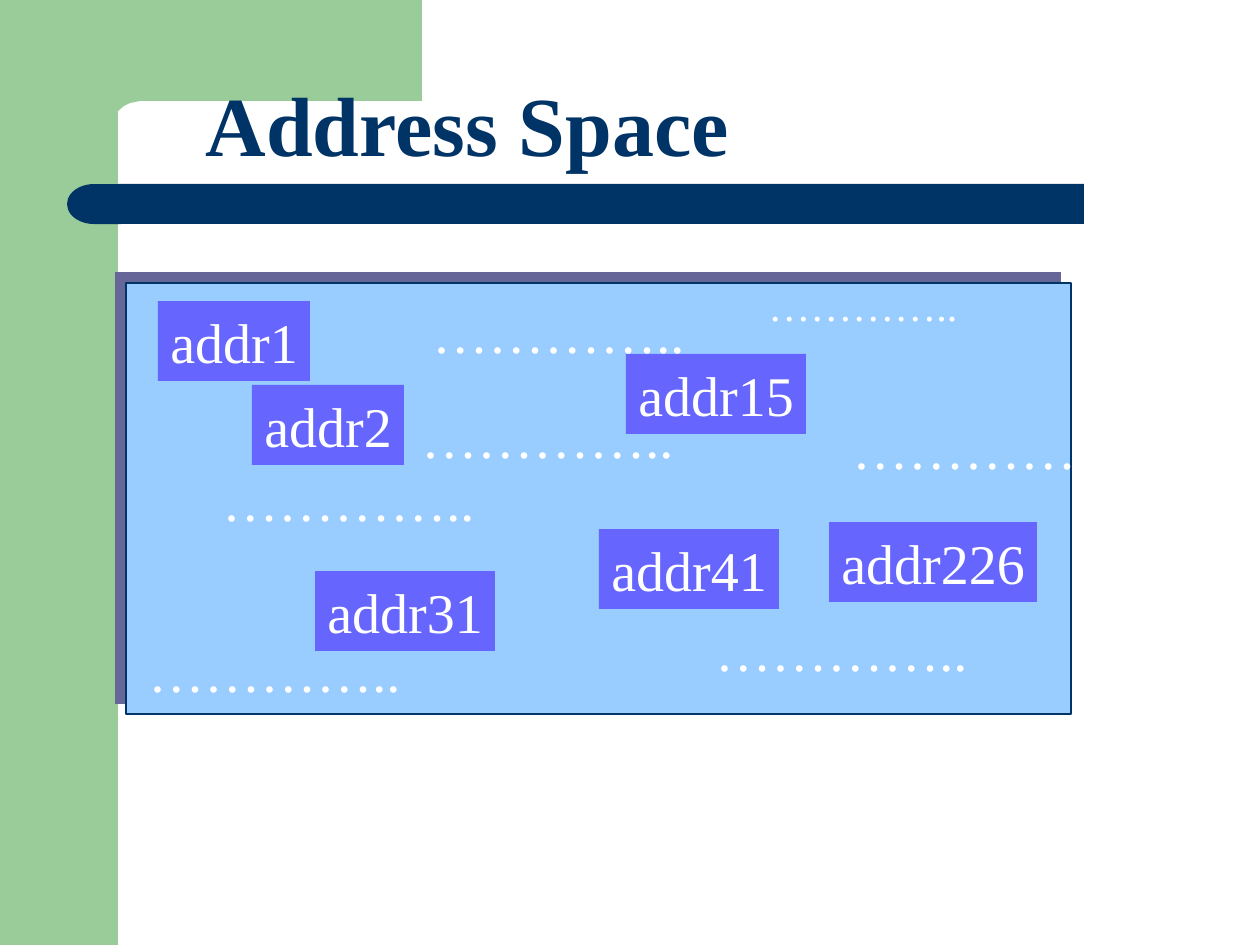
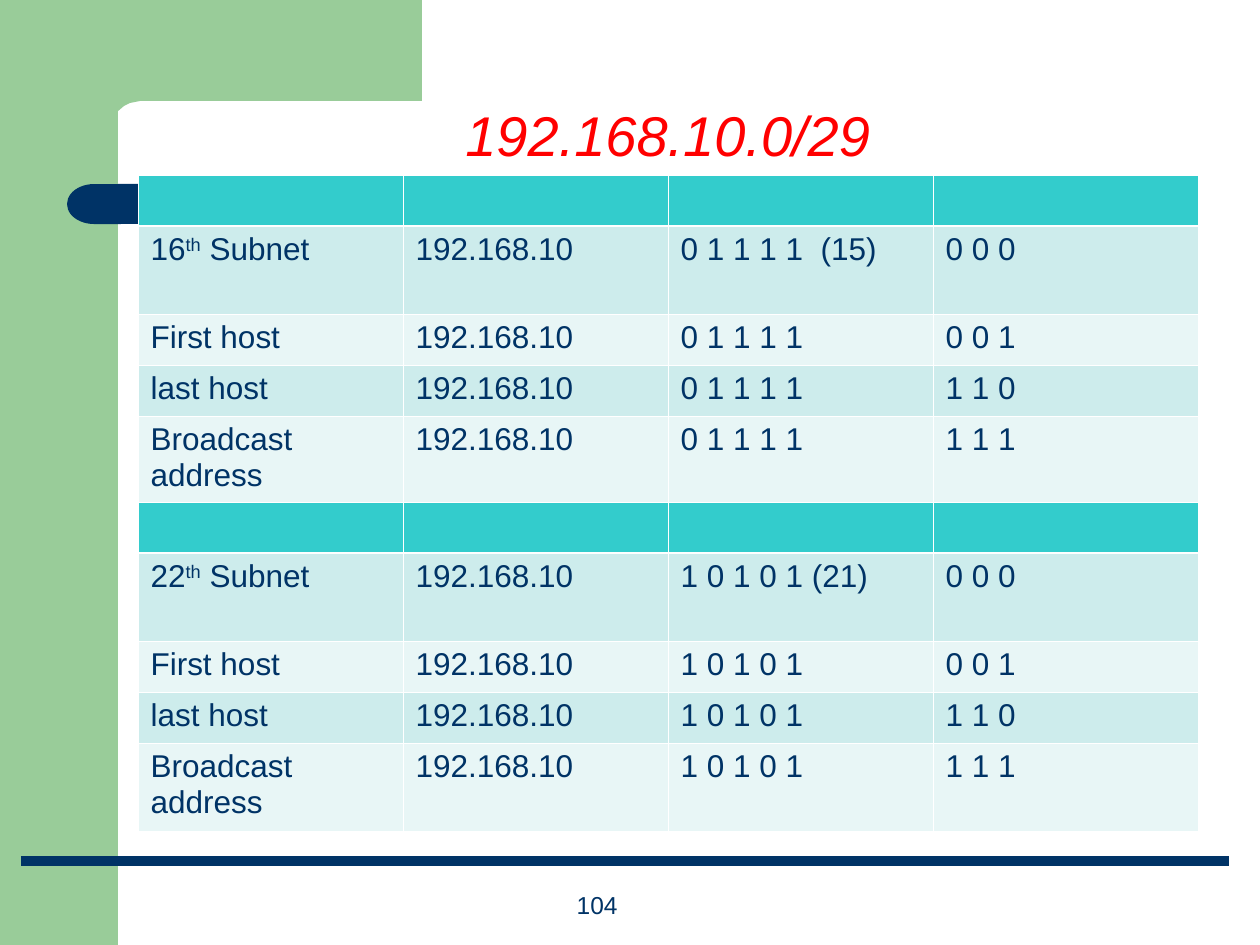
from pptx import Presentation
from pptx.dml.color import RGBColor
from pptx.enum.shapes import MSO_CONNECTOR, MSO_SHAPE
from pptx.enum.text import MSO_ANCHOR, MSO_AUTO_SIZE, PP_ALIGN
from pptx.oxml.ns import qn
from pptx.util import Pt
from lxml.etree import SubElement

PX = 914400 / 126
NAVY, GREEN, WHITE, RED = "003366", "99CC99", "FFFFFF", "FF0000"
SKY, VIOLET, SHADOW = "99CCFF", "6666FF", "666699"
TEAL, TEAL_MID, TEAL_PALE = "33CCCC", "CDECEC", "E8F6F6"
SERIF, SANS = "Times New Roman", "Arial"

COLUMN_WIDTH = 265
ROW_HEIGHTS = (51, 88, 51, 51, 88)
ROW_FILLS = (TEAL, TEAL_MID, TEAL_PALE, TEAL_MID, TEAL_PALE)


def px(length):
    return round(length * PX)


def rgb(hex_color):
    return RGBColor.from_string(hex_color)


def add_run(paragraph, text, size, font, color, bold=False, italic=False):
    run = paragraph.add_run()
    run.text = text
    run.font.size = Pt(size)
    run.font.name = font
    run.font.color.rgb = rgb(color)
    run.font.bold, run.font.italic = bold, italic
    return run


def paint(shape, color):
    shape.shadow.inherit = False
    shape.fill.solid()
    shape.fill.fore_color.rgb = rgb(color)
    shape.line.fill.background()


def add_block(slide, kind, left, top, width, height, color):
    block = slide.shapes.add_shape(kind, px(left), px(top), px(width), px(height))
    paint(block, color)
    return block


def write_line(shape, text, size, font, color, **style):
    """One left-aligned line of text, with no right inset so that it never breaks."""
    frame = shape.text_frame
    frame.word_wrap = True
    frame.auto_size = MSO_AUTO_SIZE.NONE
    frame.margin_right = 0
    frame.vertical_anchor = MSO_ANCHOR.TOP
    frame.paragraphs[0].alignment = PP_ALIGN.LEFT
    add_run(frame.paragraphs[0], text, size, font, color, **style)


def add_line_of_text(slide, left, top, width, height, text, size, font, color, **style):
    box = slide.shapes.add_textbox(px(left), px(top), px(width), px(height))
    write_line(box, text, size, font, color, **style)


def add_themed_slide(deck):
    slide = deck.slides.add_slide(deck.slide_layouts[6])
    add_block(slide, MSO_SHAPE.RECTANGLE, 0, 0, 118, 945, GREEN)
    # Green corner with a rounded inner edge
    outline = [(422, 101), (145, 101), (140, 101), (130, 103), (124, 106), (117, 112),
               (112, 119), (109, 126), (107, 134), (107, 155), (67, 155), (67, 0)]
    builder = slide.shapes.build_freeform(px(422), 0)
    builder.add_line_segments([(px(x), px(y)) for x, y in outline])
    paint(builder.convert_to_shape(), GREEN)
    # Title bar with a round left end
    add_block(slide, MSO_SHAPE.RECTANGLE, 118, 184, 966, 40, NAVY)
    add_block(slide, MSO_SHAPE.FLOWCHART_DELAY, 67, 184, 54, 40, NAVY).rotation = 180
    return slide


def add_space_panel(slide):
    panel = add_block(slide, MSO_SHAPE.RECTANGLE, 126, 283, 945, 431, SKY)
    panel.line.color.rgb = rgb(NAVY)
    panel.line.width = Pt(0.75)
    effects = panel._element.spPr.find(qn("a:effectLst"))
    shadow = SubElement(effects, qn("a:outerShdw"), dist=str(Pt(8.5)),
                        dir=str(225 * 60000), algn="ctr", rotWithShape="0")
    SubElement(shadow, qn("a:srgbClr"), val=SHADOW)


def add_address(slide, number, left, top):
    width = 124 + 28 * len(str(number))
    label = add_block(slide, MSO_SHAPE.RECTANGLE, left, top, width, 80, VIOLET)
    write_line(label, f"addr{number}", 32, SERIF, WHITE)


def set_borders(cell, **widths):
    properties = cell._tc.get_or_add_tcPr()
    for side in "LRTB":
        line = SubElement(properties, qn(f"a:ln{side}"), w=str(Pt(widths.get(side, 0.45))))
        fill = SubElement(line, qn("a:solidFill"))
        SubElement(fill, qn("a:srgbClr"), val=WHITE)


def add_subnet_table(slide, top, ordinal, bits, note):
    network = "192.168.10"
    rows = [
        ("", "", "", ""),
        ((ordinal, "th", " Subnet"), network, bits + note, "0 0 0"),
        ("First host", network, bits, "0 0 1"),
        ("last host", network, bits, "1 1 0"),
        ("Broadcast address", network, bits, "1 1 1"),
    ]
    table = slide.shapes.add_table(5, 4, px(138), px(top), px(4 * COLUMN_WIDTH),
                                   px(sum(ROW_HEIGHTS))).table
    for column in table.columns:
        column.width = px(COLUMN_WIDTH)
    for r, (values, height, color) in enumerate(zip(rows, ROW_HEIGHTS, ROW_FILLS)):
        table.rows[r].height = px(height)
        heading_rule = {0: {"B": 1.47}, 1: {"T": 1.47}}.get(r, {})
        for c, value in enumerate(values):
            cell = table.cell(r, c)
            set_borders(cell, **heading_rule)
            cell.fill.solid()
            cell.fill.fore_color.rgb = rgb(color)
            pieces = value if isinstance(value, tuple) else (value,)
            for piece in filter(None, pieces):
                run = add_run(cell.text_frame.paragraphs[0], piece, 18, SANS, NAVY)
                if piece == "th":
                    run.font._element.set("baseline", "30000")


def add_footer(slide, number):
    box = slide.shapes.add_textbox(px(336), px(861), px(294), px(65))
    frame = box.text_frame
    frame.word_wrap = True
    frame.vertical_anchor = MSO_ANCHOR.BOTTOM
    frame.paragraphs[0].alignment = PP_ALIGN.RIGHT
    add_run(frame.paragraphs[0], number, 14, SANS, NAVY)
    rule = slide.shapes.add_connector(MSO_CONNECTOR.STRAIGHT, px(21), px(861), px(1229), px(861))
    rule.line.color.rgb = rgb(NAVY)
    rule.line.width = Pt(6)
    SubElement(rule._element.spPr, qn("a:effectLst"))


def build_address_space(deck):
    slide = add_themed_slide(deck)
    add_space_panel(slide)
    add_line_of_text(slide, 193, 66, 549, 113, "Address Space", 48, SERIF, NAVY, bold=True)
    for number, left, top in [(15, 626, 354), (1, 158, 301), (2, 252, 385),
                              (41, 599, 529), (31, 315, 571), (226, 829, 522)]:
        add_address(slide, number, left, top)
    # Dots standing for the remaining addresses
    dots = "………….."
    for left, top in [(840, 407), (210, 459), (420, 291), (409, 396), (703, 609), (136, 630)]:
        add_line_of_text(slide, left, top, 277, 80, dots, 32, SERIF, WHITE)
    add_line_of_text(slide, 756, 273, 214, 63, dots, 24, SERIF, WHITE)


def build_subnets(deck):
    slide = add_themed_slide(deck)
    add_footer(slide, "104")
    add_subnet_table(slide, 175, "16", "0 1 1 1 1", "  (15)")
    add_subnet_table(slide, 502, "22", "1 0 1 0 1", " (21)")
    add_line_of_text(slide, 453, 94, 430, 80, "192.168.10.0/29", 32, SANS, RED, italic=True)


def main():
    deck = Presentation()
    deck.slide_width, deck.slide_height = px(1260), px(945)
    build_address_space(deck)
    build_subnets(deck)
    deck.save("out.pptx")


if __name__ == "__main__":
    main()
